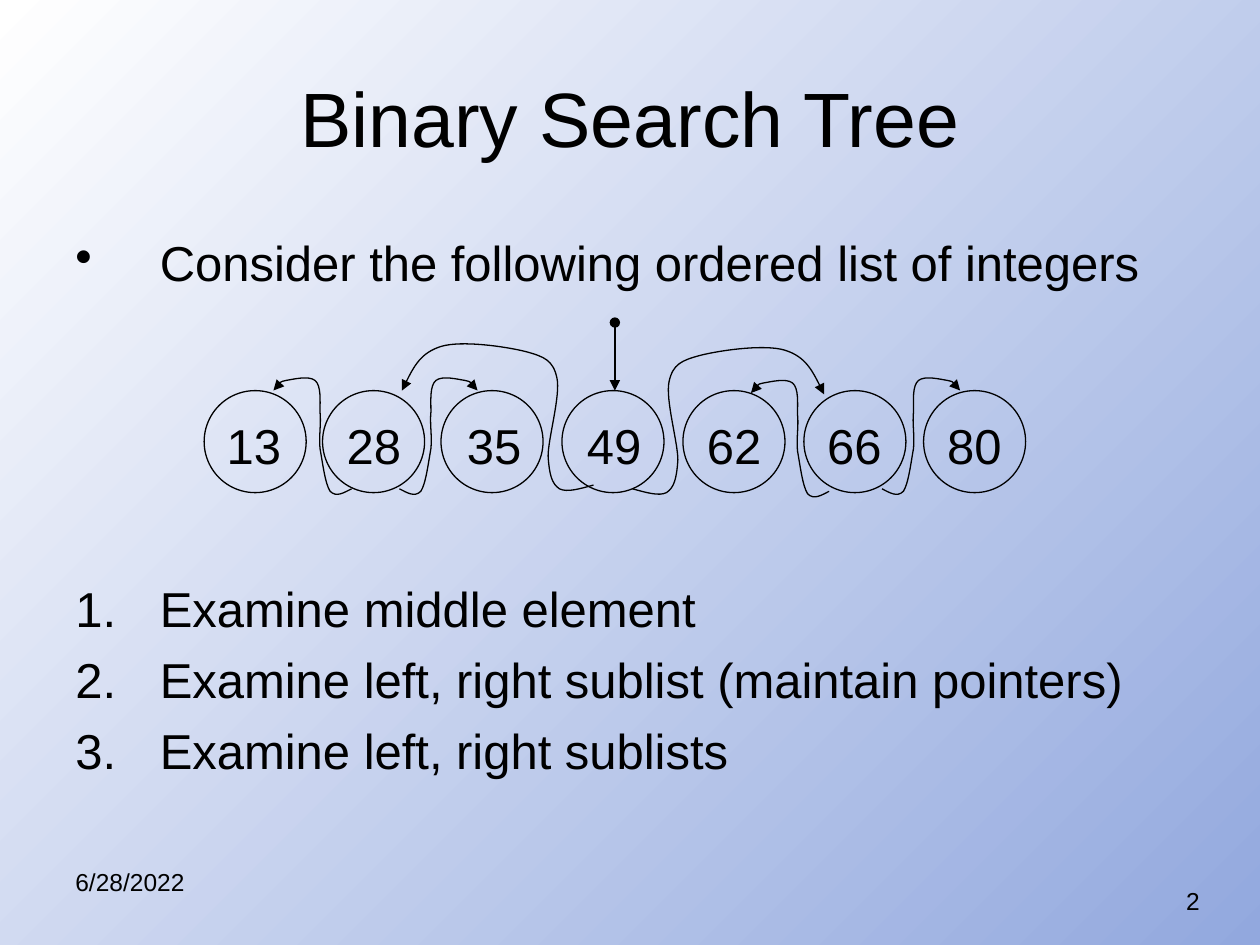
import pptx
import pptx.util
import pptx.dml.color
import pptx.enum.shapes
import pptx.enum.text
import pptx.oxml
import pptx.oxml.ns

Inches = pptx.util.Inches
Pt = pptx.util.Pt
align = pptx.enum.text.PP_ALIGN


def color(value):
    return pptx.dml.color.RGBColor.from_string(value)


def write(box, lines, size, alignment, bullet=None):
    frame = box.text_frame
    frame.word_wrap = True
    for index, line in enumerate(lines):
        para = frame.paragraphs[0] if index == 0 else frame.add_paragraph()
        if bullet:
            properties = para._p.get_or_add_pPr()
            properties.set("marL", str(Inches(0.67)))
            properties.set("indent", str(-Inches(0.67)))
            properties.append(pptx.oxml.parse_xml(bullet))
        para.alignment = alignment
        para.space_before = Pt(7 if index else 0)
        span = para.add_run()
        span.text = line
        for name, value in {"name": "Arial", "size": Pt(size), "bold": False}.items():
            setattr(span.font, name, value)
        span.font.color.rgb = color("000000")


deck = pptx.Presentation()
deck.slide_width = Inches(10)
deck.slide_height = Inches(7.5)
page = deck.slides.add_slide(deck.slide_layouts[5])

background = page.background.fill
background.gradient()
background.gradient_angle = 315
for stop, position, shade in zip(background.gradient_stops, (0, 1), ("FFFFFF", "92A8DE")):
    stop.position = position
    stop.color.rgb = color(shade)

title = page.shapes.title
for name, value in {"left": 0.5, "top": 0.3, "width": 9, "height": 1.25}.items():
    setattr(title, name, Inches(value))
title.text_frame.vertical_anchor = pptx.enum.text.MSO_ANCHOR.MIDDLE
write(title, ["Binary Search Tree"], 44, align.CENTER)

namespace = pptx.oxml.ns.nsdecls("a")
dot = f'<a:buChar {namespace} char="•"/>'
number = f'<a:buAutoNum {namespace} type="arabicPeriod"/>'
steps = [
    "Examine middle element",
    "Examine left, right sublist (maintain pointers)",
    "Examine left, right sublists",
]
texts = [
    (0.5, 1.8, 9.5, 0.6, ["Consider the following ordered list of integers"], 28, align.LEFT, dot),
    (0.5, 4.54, 9.5, 1.8, steps, 28, align.LEFT, number),
    (0.5, 6.83, 2.33, 0.52, ["6/28/2022"], 14, align.LEFT, None),
    (7.29, 6.98, 2.33, 0.52, ["2"], 14, align.RIGHT, None),
]
keys = ("13", "28", "35", "49", "62", "66", "80")
for index, key in enumerate(keys):
    texts.append((1.54 + 0.953 * index, 3.25, 0.95, 0.6, [key], 28, align.CENTER, None))
for left, top, width, height, lines, size, alignment, bullet in texts:
    box = page.shapes.add_textbox(Inches(left), Inches(top), Inches(width), Inches(height))
    write(box, lines, size, alignment, bullet)

outlines = []
for left in (1.62, 2.56, 3.5, 4.46, 5.42, 6.38, 7.33):
    node = page.shapes.add_shape(
        pptx.enum.shapes.MSO_SHAPE.OVAL, Inches(left), Inches(3.1), Inches(0.81), Inches(0.81)
    )
    node.fill.background()
    node.shadow.inherit = False
    outlines.append((node, []))

root_pointer = page.shapes.add_connector(
    pptx.enum.shapes.MSO_CONNECTOR.STRAIGHT, Inches(4.88), Inches(2.56), Inches(4.88), Inches(3.1)
)
root_pointer._element.spPr.append(pptx.oxml.parse_xml(f"<a:effectLst {namespace}/>"))
outlines.append((root_pointer, [("headEnd", "oval"), ("tailEnd", "triangle")]))

long_curve = [
    (0.11, 0.03), (0.21, 0.06), (0.27, 0.03), (0.33, -0.01), (0.35, -0.08), (0.36, -0.23),
    (0.36, -0.37), (0.26, -0.71), (0.29, -0.85), (0.32, -0.99), (0.39, -1.02), (0.54, -1.06),
    (0.7, -1.1), (1.05, -1.15), (1.21, -1.1), (1.37, -1.05), (1.45, -0.9), (1.52, -0.75),
]
short_curve = [
    (0.06, 0.03), (0.12, 0.07), (0.17, 0.02), (0.21, -0.04), (0.23, -0.21), (0.25, -0.32),
    (0.26, -0.42), (0.24, -0.52), (0.25, -0.61), (0.25, -0.7), (0.24, -0.82), (0.29, -0.86),
    (0.34, -0.9), (0.46, -0.87), (0.52, -0.86), (0.57, -0.85), (0.6, -0.81), (0.62, -0.78),
]
pointers = [
    (4.71, 3.85, -1, long_curve),
    (5.02, 3.88, 1, long_curve),
    (3.17, 3.88, 1, short_curve),
    (7, 3.88, 1, short_curve),
    (2.79, 3.88, -1, short_curve),
    (6.58, 3.9, -1, short_curve),
]
for x, y, direction, curve in pointers:
    builder = page.shapes.build_freeform(Inches(x), Inches(y))
    builder.add_line_segments(
        [(Inches(x + direction * dx), Inches(y + dy)) for dx, dy in curve], close=False
    )
    pointer = builder.convert_to_shape()
    segments = pointer._element.xpath(".//a:lnTo")
    for first in range(0, len(segments), 3):
        bezier = pptx.oxml.parse_xml(f"<a:cubicBezTo {namespace}/>")
        segments[first].addprevious(bezier)
        for segment in segments[first:first + 3]:
            bezier.append(segment[0])
            segment.getparent().remove(segment)
    pointer.fill.background()
    pointer.shadow.inherit = False
    outlines.append((pointer, [("tailEnd", "triangle")]))

for shape, ends in outlines:
    shape.line.color.rgb = color("000000")
    shape.line.width = Pt(0.75)
    for tag, kind in ends:
        arrowhead = pptx.oxml.parse_xml(f'<a:{tag} {namespace} type="{kind}"/>')
        shape.line._get_or_add_ln().append(arrowhead)

deck.save("out.pptx")
